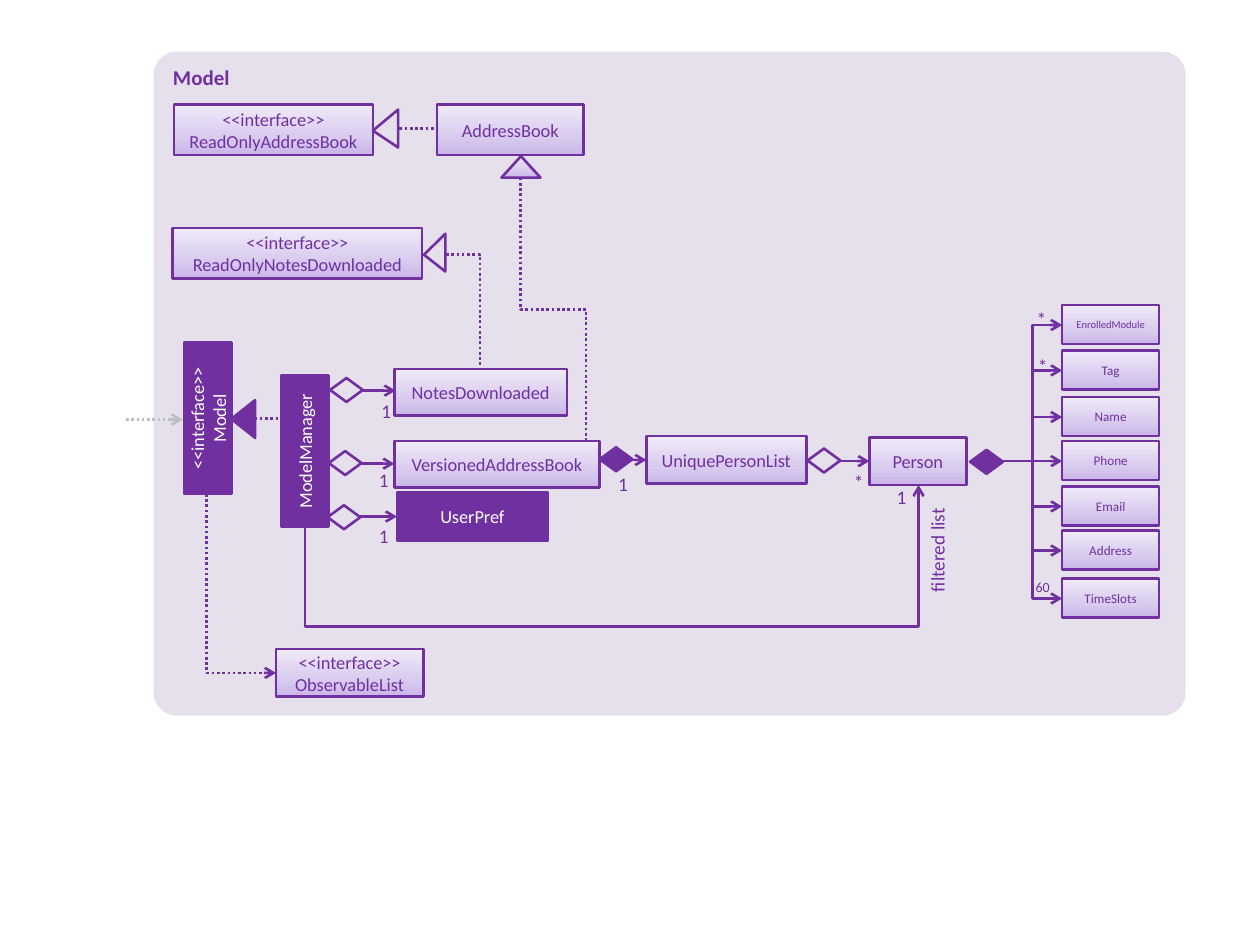
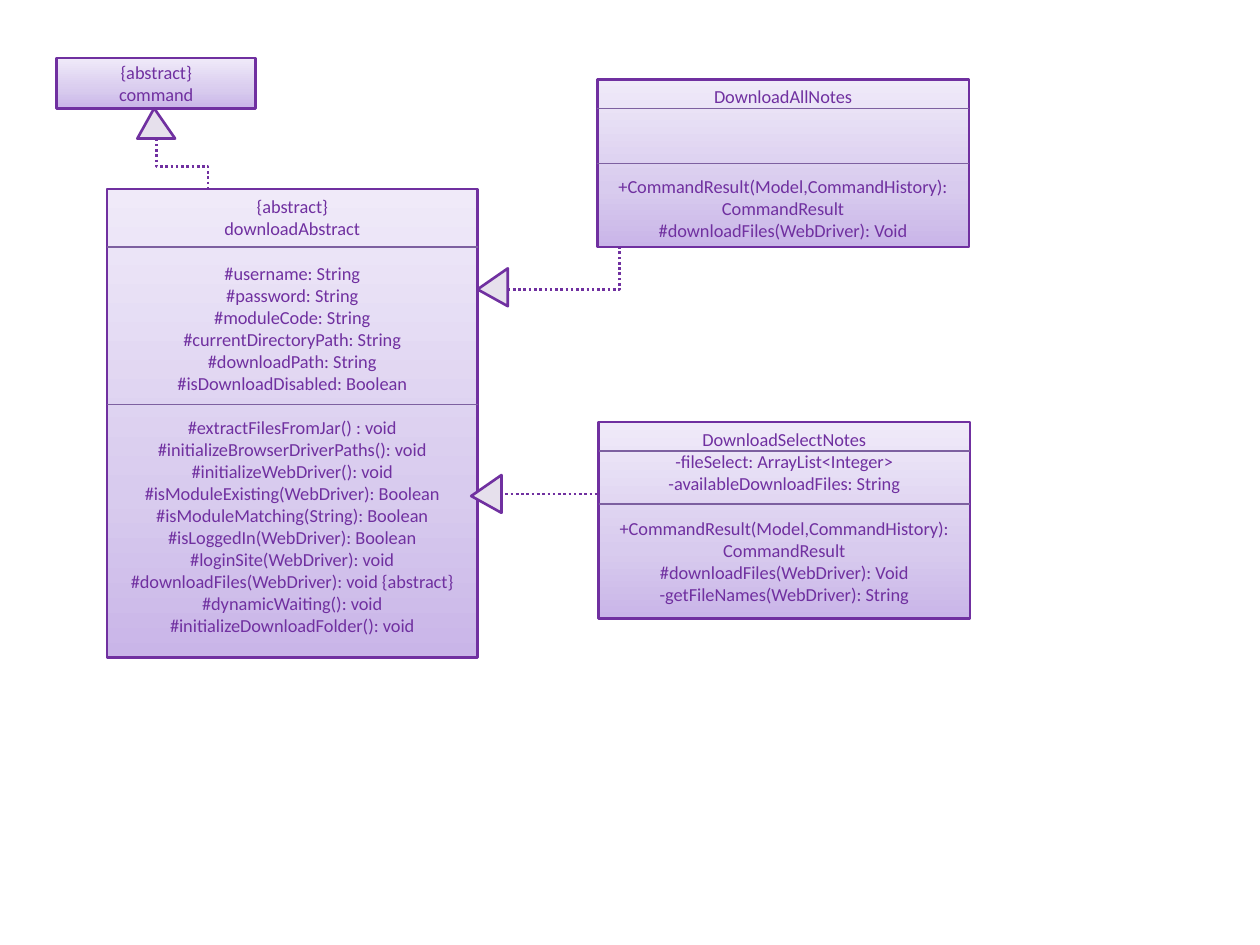
"""Build two UML class diagrams: the model component and the download commands."""
from copy import deepcopy
from dataclasses import dataclass

from pptx import Presentation
from pptx.dml.color import RGBColor as Rgb
from pptx.enum.dml import MSO_LINE as Dash
from pptx.enum.shapes import MSO_CONNECTOR as Link, MSO_SHAPE as Preset
from pptx.enum.text import MSO_ANCHOR as Anchor, PP_ALIGN as Align
from pptx.oxml.ns import qn
from pptx.oxml.xmlchemy import OxmlElement as Element
from pptx.util import Inches, Pt


@dataclass(frozen=True)
class Theme:
    """Colours and type sizes of both diagrams."""
    font: str = "Calibri"
    purple: str = "7030A0"
    panel: str = "E6E0EC"
    divider: str = "7D60A0"
    grey: str = "BFBFBF"
    white: str = "FFFFFF"
    gradient: tuple = ((0, "C9B5E8"), (0.35, "D8CBEE"), (1, "F0EAF9"))
    heading: float = 12
    label: float = 11
    body: float = 10.5
    count: float = 8
    field: float = 7.5
    tiny: float = 6
    line_height: float = 12.8
    stroke: float = 1.5
    hairline: float = 0.75


THEME = Theme()


def write(frame, lines, size=THEME.body, color=THEME.purple, bold=False,
          align=Align.CENTER, anchor=Anchor.MIDDLE, gaps=None, margin=None):
    """Fill a text frame with one paragraph per line; gaps maps line index to points above."""
    frame.word_wrap = True
    frame.vertical_anchor = anchor
    if margin is not None:
        frame.margin_left = frame.margin_right = Inches(margin)
        frame.margin_top = frame.margin_bottom = Inches(margin)
    for index, line in enumerate(lines):
        paragraph = frame.add_paragraph() if index else frame.paragraphs[0]
        paragraph.text = line
        paragraph.alignment = align
        paragraph.space_before = Pt((gaps or {}).get(index, 0))
        for run in paragraph.runs:
            run.font.name, run.font.size, run.font.bold = THEME.font, Pt(size), bold
            run.font.color.rgb = Rgb.from_string(color)


class Diagram:
    """Draws UML elements on the current slide in the shared style."""

    def __init__(self, deck):
        """Keep the deck and its blank layout."""
        self.deck, self.blank = deck, deck.slide_layouts[6]
        self.slide = None

    def new_slide(self):
        """Start an empty slide."""
        self.slide = self.deck.slides.add_slide(self.blank)

    def outline(self, preset, at, fill=None, rotation=0, stroke=True):
        """Add a preset shape; fill is a colour, the theme gradient or None."""
        shape = self.slide.shapes.add_shape(preset, *map(Inches, at))
        shape.shadow.inherit = False
        shape.rotation = rotation
        if fill is None:
            shape.fill.background()
        elif fill is THEME.gradient:
            shape.fill.gradient()
            shape.fill.gradient_angle = 90
            stops = shape._element.spPr.find(".//" + qn("a:gsLst"))
            stops.append(deepcopy(stops[-1]))
            for stop, (position, color) in zip(shape.fill.gradient_stops, fill):
                stop.position, stop.color.rgb = position, Rgb.from_string(color)
        else:
            shape.fill.solid()
            shape.fill.fore_color.rgb = Rgb.from_string(fill)
        if stroke:
            shape.line.color.rgb = Rgb.from_string(THEME.purple)
            shape.line.width = Pt(THEME.stroke)
        else:
            shape.line.fill.background()
        return shape

    def panel(self, title, at):
        """Add the rounded package background with its title."""
        shape = self.outline(Preset.ROUNDED_RECTANGLE, at, THEME.panel, stroke=False)
        shape.adjustments[0] = 0.035
        write(shape.text_frame, [title], size=THEME.heading, bold=True,
              align=Align.LEFT, anchor=Anchor.TOP)

    def box(self, name, at, size=THEME.body):
        """Add a gradient box holding one name."""
        shape = self.outline(Preset.RECTANGLE, at, THEME.gradient)
        write(shape.text_frame, [name], size=size)

    def solid_box(self, lines, at, rotation=0):
        """Add a solid purple box with white text."""
        shape = self.outline(Preset.RECTANGLE, at, THEME.purple, rotation)
        write(shape.text_frame, lines, color=THEME.white)

    def class_box(self, at, sections, blanks, dividers):
        """Add a class with sections of lines, line gaps between them and divider heights."""
        shape = self.outline(Preset.RECTANGLE, at, THEME.gradient)
        lines, gaps = [], {}
        for section, blank in zip(sections, blanks):
            gaps[len(lines)] = blank * THEME.line_height
            lines += section
        write(shape.text_frame, lines, anchor=Anchor.TOP, gaps=gaps)
        left, _, width, _ = at
        for y in dividers:
            self.line((left, y), (left + width, y), color=THEME.divider, width=THEME.hairline)

    def diamond(self, left, top, fill=None):
        """Add an aggregation (hollow) or composition (filled) diamond."""
        self.outline(Preset.FLOWCHART_DECISION, (left, top, 0.26, 0.19), fill)

    def triangle(self, at, fill=THEME.panel, rotation=0, apex=0.445):
        """Add an inheritance triangle."""
        self.outline(Preset.ISOSCELES_TRIANGLE, at, fill, rotation).adjustments[0] = apex

    def label(self, text, at, size=THEME.label, rotation=0, align=Align.CENTER, margin=0):
        """Add a multiplicity or role label."""
        note = self.slide.shapes.add_textbox(*map(Inches, at))
        note.rotation = rotation
        write(note.text_frame, [text], size=size, align=align, anchor=Anchor.TOP, margin=margin)

    def line(self, start, end, kind=Link.STRAIGHT, color=THEME.purple,
             width=THEME.stroke, dotted=False, arrow=False):
        """Add a connector, optionally dotted or with an open arrowhead."""
        link = self.slide.shapes.add_connector(kind, *map(Inches, (*start, *end)))
        link.line.color.rgb = Rgb.from_string(color)
        link.line.width = Pt(width)
        if dotted:
            link.line.dash_style = Dash.ROUND_DOT
        if arrow:
            head = Element("a:tailEnd")
            head.set("type", "arrow")
            link.line._get_or_add_ln().append(head)
        link._element.spPr.append(Element("a:effectLst"))
        return link

    def elbow(self, start, end, vertical=False, corner=False, bend=0.5, **style):
        """Add a bent connector that leaves start horizontally or vertically."""
        if vertical:
            (x1, y1), (x2, y2) = start, end
            mid_x, mid_y = (x1 + x2) / 2, (y1 + y2) / 2
            half_x, half_y = (x2 - x1) / 2, (y2 - y1) / 2
            start = mid_x - half_y, mid_y + half_x
            end = mid_x + half_y, mid_y - half_x
        link = self.line(start, end, Link.ELBOW, **style)
        properties = link._element.spPr
        if vertical:
            properties.find(qn("a:xfrm")).set("rot", "5400000")
        geometry = properties.find(qn("a:prstGeom"))
        if corner:
            geometry.set("prst", "bentConnector2")
        elif bend != 0.5:
            guide = Element("a:gd")
            guide.set("name", "adj1")
            guide.set("fmla", f"val {round(bend * 100000)}")
            geometry.find(qn("a:avLst")).append(guide)


def draw_model(diagram):
    """Draw the model component."""
    diagram.new_slide()
    diagram.panel("Model", (1.22, 0.41, 8.19, 5.27))

    diagram.elbow((2.42, 4.18), (7.29, 3.85), vertical=True, bend=-2.4, arrow=True)
    diagram.elbow((4.13, 1.41), (4.65, 3.5), vertical=True, dotted=True)
    diagram.elbow((1.64, 3.92), (2.19, 5.34), vertical=True, corner=True,
                  dotted=True, arrow=True)
    diagram.elbow((3.54, 2.02), (3.81, 2.93), corner=True, dotted=True)
    diagram.line((1, 3.33), (1.45, 3.33), color=THEME.grey, dotted=True, arrow=True)
    for start, end, y in ((2.02, 2.26, 3.32), (3.17, 3.47, 1.02)):
        diagram.line((start, y), (end, y), dotted=True)
    for start, end, y in ((2.88, 3.14, 3.1), (2.87, 3.13, 3.68), (2.85, 3.15, 4.1),
                          (4.76, 5.13, 3.65), (6.67, 6.9, 3.66)):
        diagram.line((start, y), (end, y), arrow=True)

    diagram.solid_box(["UserPref"], (3.15, 3.91, 1.2, 0.38))
    diagram.solid_box(["ModelManager"], (1.82, 3.39, 1.2, 0.38), rotation=270)
    diagram.solid_box(["<<interface>>", "Model"], (1.05, 3.13, 1.2, 0.38), rotation=270)
    for name, at in (
        ("<<interface>>\vReadOnlyAddressBook", (1.38, 0.83, 1.58, 0.4)),
        ("AddressBook", (3.47, 0.83, 1.16, 0.4)),
        ("<<interface>>\vReadOnlyNotesDownloaded", (1.37, 1.81, 1.98, 0.4)),
        ("NotesDownloaded", (3.13, 2.93, 1.37, 0.37)),
        ("VersionedAddressBook", (3.13, 3.5, 1.63, 0.37)),
        ("UniquePersonList", (5.13, 3.46, 1.27, 0.38)),
        ("Person", (6.9, 3.47, 0.77, 0.38)),
        ("<<interface>>\vObservableList", (2.19, 5.15, 1.17, 0.38)),
    ):
        diagram.box(name, at)

    for name, top, size in (
        ("EnrolledModule", 2.42, THEME.tiny), ("Tag", 2.78, THEME.field),
        ("Name", 3.15, THEME.field), ("Phone", 3.5, THEME.field),
        ("Email", 3.86, THEME.field), ("Address", 4.21, THEME.field),
        ("TimeSlots", 4.59, THEME.field),
    ):
        diagram.box(name, (8.43, top, 0.77, 0.31), size)
        diagram.elbow((7.96, 3.66), (8.43, top + 0.16), arrow=True)

    for left, top in ((2.62, 3), (2.61, 3.58), (2.6, 4.01), (6.41, 3.56)):
        diagram.diamond(left, top)
    for left, top in ((4.76, 3.55), (7.7, 3.57)):
        diagram.diamond(left, top, THEME.purple)
    diagram.triangle((1.78, 3.23, 0.3, 0.19), THEME.purple, rotation=270, apex=0.5)
    diagram.triangle((2.91, 0.92, 0.3, 0.2), rotation=270)
    diagram.triangle((3.3, 1.92, 0.3, 0.17), rotation=270)
    diagram.triangle((3.98, 1.24, 0.31, 0.17), THEME.gradient, apex=0.5)

    for count, left, top in (("1", 2.96, 3.17), ("1", 2.94, 3.72), ("1", 2.94, 4.16),
                             ("1", 4.84, 3.75), ("*", 6.71, 3.73), ("1", 7.05, 3.85),
                             ("*", 8.16, 2.44), ("*", 8.17, 2.81)):
        diagram.label(count, (left, top, 0.21, 0.2))
    diagram.label("60", (8.17, 4.59, 0.21, 0.2), THEME.count)
    diagram.label("filtered list", (6.96, 4.27, 0.96, 0.29), rotation=270,
                  align=Align.RIGHT, margin=None)


def draw_commands(diagram):
    """Draw the download command hierarchy."""
    diagram.new_slide()
    diagram.elbow((3.97, 3.92), (5.74, 3.5), bend=0.45, dotted=True)
    diagram.elbow((4.03, 2.3), (5.8, 1.88), dotted=True)
    diagram.elbow((1.24, 1.1), (1.65, 1.54), vertical=True, dotted=True)

    diagram.box("{abstract}\vcommand", (0.45, 0.46, 1.58, 0.4))
    diagram.class_box(
        (0.85, 1.5, 2.94, 3.72),
        (["{abstract}\vdownloadAbstract"],
         ["#username: String", "#password: String", "#moduleCode: String",
          "#currentDirectoryPath: String", "#downloadPath: String",
          "#isDownloadDisabled: Boolean"],
         ["#extractFilesFromJar() : void", "#initializeBrowserDriverPaths(): void",
          "#initializeWebDriver(): void", "#isModuleExisting(WebDriver): Boolean",
          "#isModuleMatching(String): Boolean", "#isLoggedIn(WebDriver): Boolean",
          "#loginSite(WebDriver): void", "#downloadFiles(WebDriver): void {abstract}",
          "#dynamicWaiting(): void", "#initializeDownloadFolder(): void"]),
        blanks=(0, 1, 1), dividers=(1.96, 3.21))
    overrides = ["+CommandResult(Model,CommandHistory):", "CommandResult",
                 "#downloadFiles(WebDriver): Void"]
    diagram.class_box((4.74, 0.63, 2.95, 1.33), (["DownloadAllNotes"], overrides),
                      blanks=(0, 3), dividers=(0.86, 1.3))
    diagram.class_box(
        (4.75, 3.35, 2.95, 1.56),
        (["DownloadSelectNotes"],
         ["-fileSelect: ArrayList<Integer>", "-availableDownloadFiles: String"],
         overrides + ["-getFileNames(WebDriver): String"]),
        blanks=(0, 0, 1), dividers=(3.58, 4))

    diagram.triangle((1.09, 0.86, 0.3, 0.24))
    for left, top in ((3.76, 2.16), (3.71, 3.8)):
        diagram.triangle((left, top, 0.3, 0.24), rotation=270)


deck = Presentation()
deck.slide_width, deck.slide_height = Inches(10), Inches(7.5)
uml = Diagram(deck)
draw_model(uml)
draw_commands(uml)
deck.save("out.pptx")
